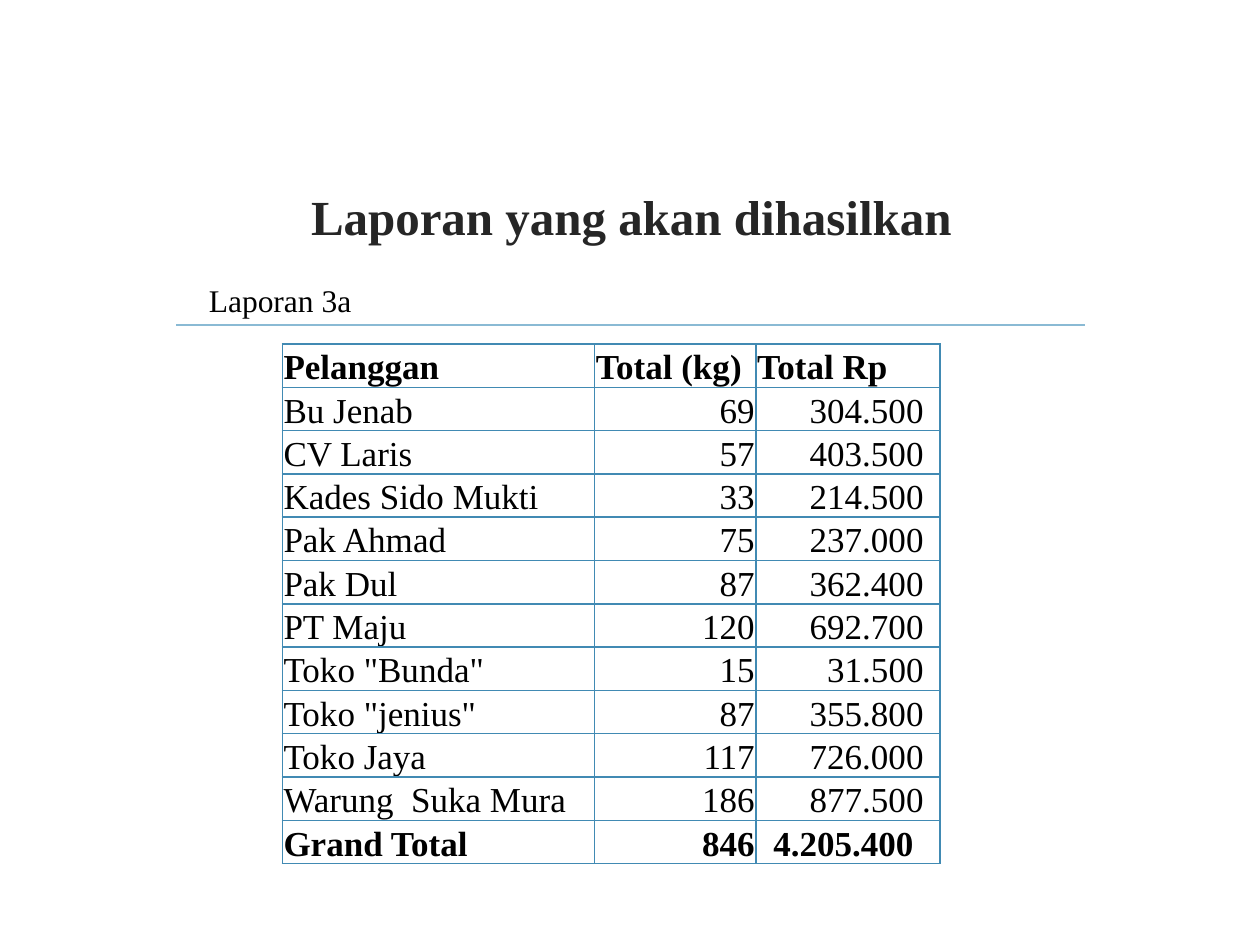
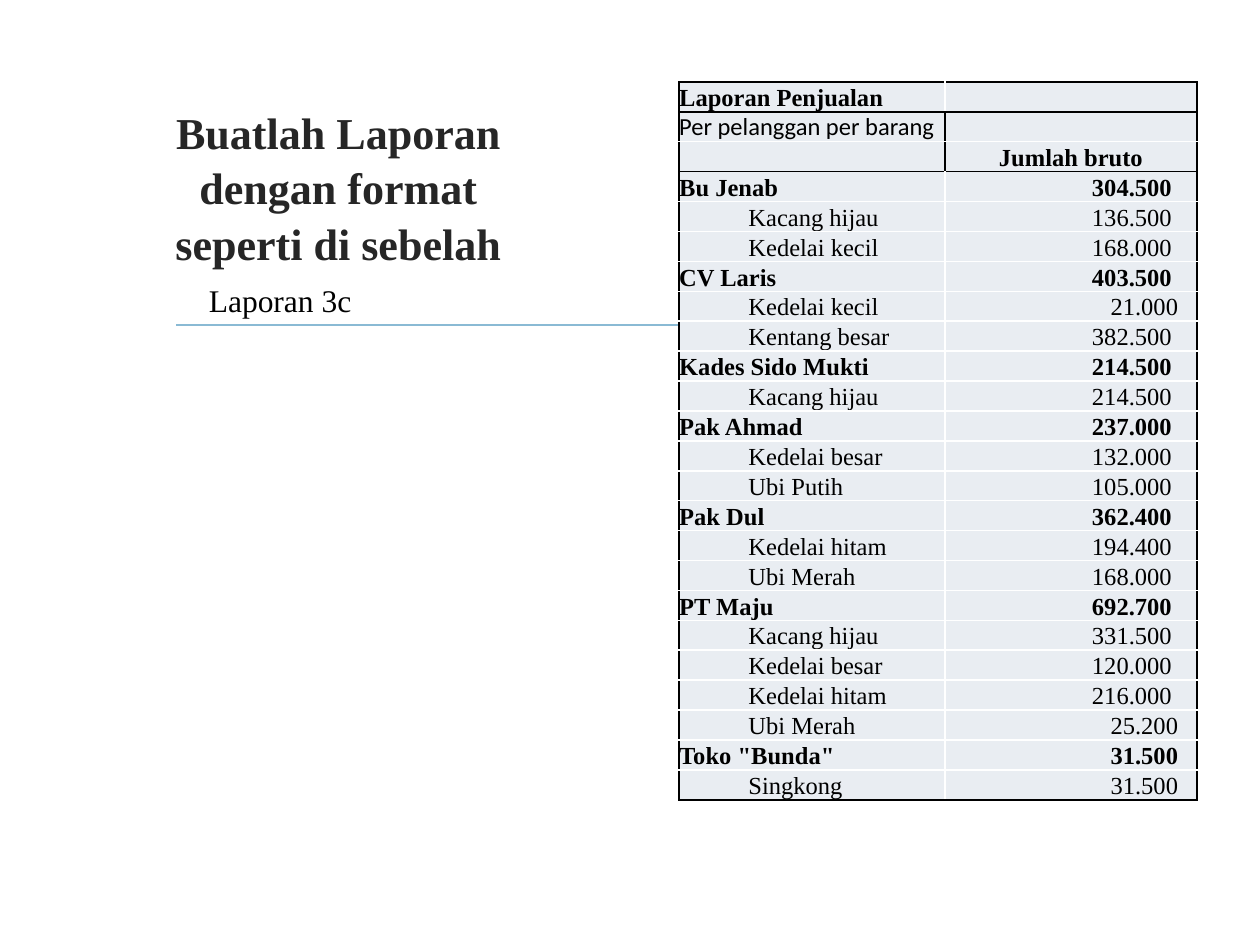
from lxml.etree import SubElement
from pptx import Presentation
from pptx.dml.color import RGBColor
from pptx.enum.shapes import MSO_CONNECTOR
from pptx.enum.text import MSO_ANCHOR, PP_ALIGN
from pptx.oxml.ns import qn
from pptx.util import Inches, Pt

SERIF, SANS = "Times New Roman", "Calibri"
BLACK, WHITE = "000000", "FFFFFF"
TITLE_COLOR, RULE_COLOR = "262626", "8ABAD4"
GRID_COLOR, PANEL_COLOR = "418AB3", "E9EDF2"

CUSTOMER_TOTALS = [
    ("Bu Jenab", "69", "304.500"),
    ("CV Laris", "57", "403.500"),
    ("Kades Sido Mukti", "33", "214.500"),
    ("Pak Ahmad", "75", "237.000"),
    ("Pak Dul", "87", "362.400"),
    ("PT Maju", "120", "692.700"),
    ('Toko "Bunda"', "15", "31.500"),
    ('Toko "jenius"', "87", "355.800"),
    ("Toko Jaya", "117", "726.000"),
    ("Warung  Suka Mura", "186", "877.500"),
]
SALES_BY_CUSTOMER = [
    ("Bu Jenab", "304.500", [("Kacang hijau", "136.500"), ("Kedelai kecil", "168.000")]),
    ("CV Laris", "403.500", [("Kedelai kecil", "21.000"), ("Kentang besar", "382.500")]),
    ("Kades Sido Mukti", "214.500", [("Kacang hijau", "214.500")]),
    ("Pak Ahmad", "237.000", [("Kedelai besar", "132.000"), ("Ubi Putih", "105.000")]),
    ("Pak Dul", "362.400", [("Kedelai hitam", "194.400"), ("Ubi Merah", "168.000")]),
    ("PT Maju", "692.700", [("Kacang hijau", "331.500"), ("Kedelai besar", "120.000"),
                            ("Kedelai hitam", "216.000"), ("Ubi Merah", "25.200")]),
    ('Toko "Bunda"', "31.500", [("Singkong", "31.500")]),
]


def rgb(color):
    return RGBColor.from_string(color)


def style(p, size, color=BLACK, bold=False, font=SERIF, align=PP_ALIGN.LEFT):
    p.alignment = align
    p.font.size = Pt(size)
    p.font.name = font
    p.font.bold = bold
    p.font.color.rgb = rgb(color)


def add_text(slide, text, left, top, width, height, anchor=MSO_ANCHOR.TOP, **font):
    tf = slide.shapes.add_textbox(
        Inches(left), Inches(top), Inches(width), Inches(height)).text_frame
    tf.word_wrap = True
    tf.vertical_anchor = anchor
    p = tf.paragraphs[0]
    p.text = text
    style(p, **font)
    return p


def add_title(slide, text, left, top, width, size):
    return add_text(slide, text, left, top, width, 1.43, MSO_ANCHOR.MIDDLE, size=size,
                    color=TITLE_COLOR, bold=True, align=PP_ALIGN.CENTER)


def add_report_slide(prs, label):
    """Add a slide with the rule and the report label above it."""
    slide = prs.slides.add_slide(prs.slide_layouts[6])
    rule = slide.shapes.add_connector(
        MSO_CONNECTOR.STRAIGHT, Inches(1.4), Inches(2.58), Inches(8.61), Inches(2.58))
    rule.line.color.rgb = rgb(RULE_COLOR)
    rule.line.width = Pt(1.25)
    SubElement(rule._element.spPr, qn("a:effectLst"))
    add_text(slide, label, 1.56, 2.18, 1.83, 0.4, size=18)
    return slide


def add_plain_table(slide, rows, left, top, widths, height):
    """Add a table with equal rows and no banding."""
    table = slide.shapes.add_table(rows, len(widths), Inches(left), Inches(top),
                                   Inches(sum(widths)), Inches(height)).table
    table.first_row = table.horz_banding = False
    for column, width in zip(table.columns, widths):
        column.width = Inches(width)
    for row in table.rows:
        row.height = Inches(height / rows)
    return table


def set_borders(cell, left, right, top, bottom):
    """Give each side of the cell a 1 pt line; call before setting the fill."""
    tc_pr = cell._tc.get_or_add_tcPr()
    for side, color in zip("LRTB", (left, right, top, bottom)):
        ln = SubElement(tc_pr, qn(f"a:ln{side}"), w=str(Pt(1)))
        SubElement(SubElement(ln, qn("a:solidFill")), qn("a:srgbClr"), val=color)


def write_cell(cell, text, size, left=0, right=0, top=0, **font):
    cell.margin_left, cell.margin_right = Inches(left), Inches(right)
    cell.margin_top, cell.margin_bottom = Inches(top), 0
    cell.vertical_anchor = MSO_ANCHOR.BOTTOM
    p = cell.text_frame.paragraphs[0]
    if text:
        p.text = text
    style(p, size, **font)
    if not text:
        SubElement(p._p, qn("a:endParaRPr"), sz=str(size * 100))


def add_totals_table(slide):
    rows = [("Pelanggan", "Total (kg)", "Total Rp"), *CUSTOMER_TOTALS,
            ("Grand Total", "846", "4.205.400")]
    last = len(rows) - 1
    table = add_plain_table(slide, len(rows), 2.24, 2.73, (2.48, 1.28, 1.46), 4.08)
    for i, row in enumerate(rows):
        rupiah_margin = 0.21 if i == last else 0.13
        for j, text in enumerate(row):
            cell = table.cell(i, j)
            set_borders(cell, *[GRID_COLOR] * 4)
            cell.fill.background()
            is_number = i > 0 and j > 0
            write_cell(cell, text, 20, left=0.01, top=0.01,
                       right=rupiah_margin if is_number and j == 2 else 0.01,
                       bold=i in (0, last),
                       align=PP_ALIGN.RIGHT if is_number else PP_ALIGN.LEFT)


def add_sales_table(slide):
    headings = [("Laporan Penjualan", ""), ("Per pelanggan per barang", ""),
                ("", "Jumlah bruto")]
    rows = [(name, amount, True) for name, amount in headings]
    for customer, total, items in SALES_BY_CUSTOMER:
        rows.append((customer, total, True))
        rows += [(item, amount, False) for item, amount in items]
    last = len(rows) - 1
    black_below = (0, 2, last)
    table = add_plain_table(slide, len(rows), 5.39, 0.65, (2.11, 2), 5.7)
    for i, (name, amount, bold) in enumerate(rows):
        divider = BLACK if i in (1, 2) else WHITE
        above = BLACK if i == 0 or i - 1 in black_below else WHITE
        below = BLACK if i in black_below else WHITE
        name_cell, amount_cell = table.cell(i, 0), table.cell(i, 1)
        set_borders(name_cell, BLACK, divider, above, below)
        set_borders(amount_cell, divider, BLACK, above, below)
        for cell in (name_cell, amount_cell):
            cell.fill.solid()
            cell.fill.fore_color.rgb = rgb(PANEL_COLOR)
        is_subtitle = i == 1
        write_cell(name_cell, name, 14, left=0 if bold else 0.55,
                   bold=bold and not is_subtitle, font=SANS if is_subtitle else SERIF)
        if i < len(headings):
            write_cell(amount_cell, amount, 14, bold=True, align=PP_ALIGN.CENTER)
        else:
            write_cell(amount_cell, amount, 14, right=0.2 if len(amount) > 6 else 0.15,
                       bold=bold, align=PP_ALIGN.RIGHT)


def main():
    prs = Presentation()
    prs.slide_width, prs.slide_height = Inches(10), Inches(7.5)

    slide = add_report_slide(prs, "Laporan 3a")
    add_title(slide, "Laporan yang akan dihasilkan", 1.29, 1, 7.44, 28)
    add_totals_table(slide)

    slide = add_report_slide(prs, "Laporan 3c")
    title = add_title(slide, "Buatlah Laporan dengan format seperti di sebelah",
                      1.24, 0.76, 2.89, 25.2)
    title.line_spacing = 1.05
    add_sales_table(slide)

    prs.save("out.pptx")


if __name__ == "__main__":
    main()
